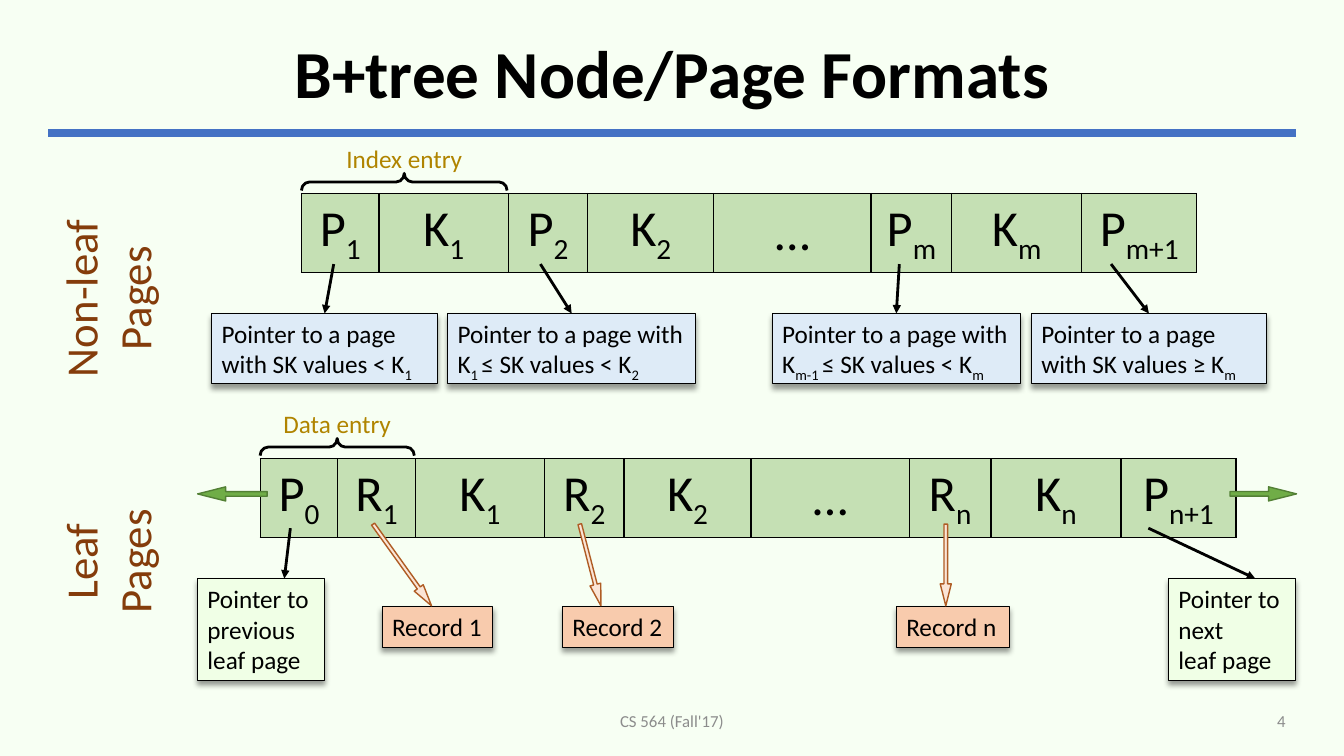
import math
import pptx
import pptx.util
import pptx.dml.color
import pptx.enum.shapes
import pptx.enum.text
import pptx.oxml
import pptx.oxml.ns

Inches = pptx.util.Inches
Pt = pptx.util.Pt
KIND = pptx.enum.shapes.MSO_SHAPE
ALIGN = pptx.enum.text.PP_ALIGN
MID = pptx.enum.text.MSO_ANCHOR.MIDDLE
TOP = pptx.enum.text.MSO_ANCHOR.TOP
FONT = "Calibri"
NS = pptx.oxml.ns.nsdecls("a")


def color(code):
    """Turn a hex string into a colour."""
    return pptx.dml.color.RGBColor.from_string(code)


def fill(part, code):
    """Give a shape, cell or background a solid fill."""
    part.fill.solid()
    part.fill.fore_color.rgb = color(code)


def stroke(part, code, width):
    """Set the line colour and width in points."""
    part.line.color.rgb = color(code)
    part.line.width = Pt(width)


def write(frame, text, size, code="000000", align=ALIGN.LEFT, anchor=TOP, bold=False):
    """Write paragraphs; every second part between underscores is a subscript."""
    frame.word_wrap = True
    frame.vertical_anchor = anchor
    for row, words in enumerate(text.split("\n")):
        para = frame.add_paragraph() if row else frame.paragraphs[0]
        para.alignment = align
        for num, part in enumerate(words.split("_")):
            if part:
                run = para.add_run()
                run.text = part
                run.font.name, run.font.size, run.font.bold = FONT, Pt(size), bold
                run.font.color.rgb = color(code)
                if num % 2:
                    run.font._element.set("baseline", "-25000")


def label(slide, x, y, w, h, text, size, code, align=ALIGN.CENTER, anchor=TOP, turn=0):
    """Add a text box, turned if asked."""
    box = slide.shapes.add_textbox(Inches(x), Inches(y), Inches(w), Inches(h))
    box.rotation = turn
    write(box.text_frame, text, size, code, align, anchor)


def line(slide, x1, y1, x2, y2, code="000000", width=2, head=True):
    """Draw a straight line, with an arrowhead at its end if asked."""
    kind = pptx.enum.shapes.MSO_CONNECTOR.STRAIGHT
    link = slide.shapes.add_connector(kind, Inches(x1), Inches(y1), Inches(x2), Inches(y2))
    stroke(link, code, width)
    if head:
        tip = pptx.oxml.parse_xml(f'<a:tailEnd {NS} type="triangle"/>')
        link.line._get_or_add_ln().append(tip)
    link._element.spPr.append(pptx.oxml.parse_xml(f"<a:effectLst {NS}/>"))


def shape(slide, kind, x, y, w, h, turn=0):
    """Add a preset shape without a shadow."""
    item = slide.shapes.add_shape(kind, Inches(x), Inches(y), Inches(w), Inches(h))
    item.shadow.inherit = False
    item.rotation = turn
    return item


def card(slide, x, y, w, h, text, code):
    """Add a filled note with a soft shadow below it."""
    item = shape(slide, KIND.RECTANGLE, x, y, w, h)
    fill(item, code)
    stroke(item, "000000", 0.75)
    shade = pptx.oxml.parse_xml(
        f'<a:outerShdw {NS} blurRad="{Pt(4)}" dist="{Pt(3)}" dir="5400000" algn="t" '
        'rotWithShape="0"><a:srgbClr val="000000"><a:alpha val="40000"/></a:srgbClr></a:outerShdw>')
    item._element.spPr.find(pptx.oxml.ns.qn("a:effectLst")).append(shade)
    write(item.text_frame, text, 18)


def arrow(slide, x1, y1, x2, y2, code, edge, thick):
    """Draw a block arrow from one point to another."""
    size = math.hypot(x2 - x1, y2 - y1)
    turn = math.degrees(math.atan2(y2 - y1, x2 - x1))
    item = shape(slide, KIND.RIGHT_ARROW, (x1 + x2 - size) / 2, (y1 + y2 - thick) / 2,
                 size, thick, turn)
    item.adjustments[0], item.adjustments[1] = 0.33, 1.98
    fill(item, code)
    stroke(item, edge, 1)


def brace(slide, x, y, w, text):
    """Draw a brace above a span that ends at y, with a caption over it."""
    deep = 0.17
    item = shape(slide, KIND.RIGHT_BRACE, x + (w - deep) / 2, y - (w + deep) / 2, deep, w, 270)
    item.adjustments[0], item.adjustments[1] = 0.47, 0.5
    item.fill.background()
    stroke(item, "000000", 2)
    label(slide, x + w / 2 - 0.7, y - 0.52, 1.4, 0.4, text, 18, "B08400")


def node(slide, x, y, cells):
    """Draw one page as a table row of (text, width) cells."""
    high = Inches(0.77)
    wide = Inches(sum(width for _, width in cells))
    grid = slide.shapes.add_table(1, len(cells), Inches(x), Inches(y), wide, high).table
    grid.first_row = grid.horz_banding = False
    grid.rows[0].height = high
    for col, (text, width) in enumerate(cells):
        grid.columns[col].width = Inches(width)
        cell = grid.cell(0, col)
        fill(cell, "C5E0B4")
        write(cell.text_frame, text, 36, align=ALIGN.CENTER)
        cell.vertical_anchor = MID
        props = cell._tc.get_or_add_tcPr()
        for spot, side in enumerate("LRTB"):
            props.insert(spot, pptx.oxml.parse_xml(
                f'<a:ln{side} {NS} w="{Pt(1)}"><a:solidFill><a:srgbClr val="000000"/>'
                f"</a:solidFill></a:ln{side}>"))


def inner(slide, x, y):
    """Draw the non-leaf page, its label and its pointers."""
    node(slide, x, y, [("P_1", 0.77), ("K_1", 1.28), ("P_2", 0.79), ("K_2", 1.25),
                       ("…", 1.56), ("P_m", 0.8), ("K_m", 1.29), ("P_m+1", 1.14)])
    label(slide, x - 3.11, y + 0.45, 2.37, 1.18, "Non-leaf Pages", 32, "843C0B", turn=270)
    notes = [(-0.89, 2.24, 0.32, "Pointer to a page with SK values < K_1"),
             (1.45, 2.46, 2.37, "Pointer to a page with K_1 _≤ SK values < K_2"),
             (4.67, 2.46, 5.93, "Pointer to a page with K_m-1 _≤ SK values < K_m"),
             (7.24, 2.33, 8.03, "Pointer to a page with SK values ≥ K_m")]
    for left, wide, start, text in notes:
        card(slide, x + left, y + 1.19, wide, 0.7, text, "DEEBF7")
        line(slide, x + start, y + 0.7, x + left + wide / 2, y + 1.19)
    brace(slide, x, y - 0.03, 2.04, "Index entry")


def leaf(slide, x, y):
    """Draw the leaf page, its label, neighbours and records."""
    node(slide, x, y, [("P_0", 0.77), ("R_1", 0.77), ("K_1", 1.28), ("R_2", 0.79), ("K_2", 1.26),
                       ("…", 1.57), ("R_n", 0.81), ("K_n", 1.29), ("P_n+1", 1.14)])
    label(slide, x - 2.7, y + 0.43, 2.37, 1.18, "Leaf\nPages", 32, "843C0B", turn=270)
    for left, start, end, text in [(-0.62, 0.3, 0.24, "Pointer to previous leaf page"),
                                   (9.01, 8.81, 9.87, "Pointer to next\nleaf page")]:
        card(slide, x + left, y + 1.19, 1.26, 1.01, text, "F0FFE6")
        line(slide, x + start, y + 0.69, x + end, y + 1.19)
    for start, end in [(0.07, -0.62), (9.62, 10.28)]:
        arrow(slide, x + start, y + 0.35, x + end, y + 0.35, "70AD47", "538035", 0.14)
    for left, wide, start, end, text in [(1.21, 1.1, 1.12, 1.7, "Record 1"),
                                         (3, 1.1, 3.17, 3.38, "Record 2"),
                                         (6.31, 1.12, 6.8, 6.8, "Record n")]:
        card(slide, x + left, y + 1.47, wide, 0.4, text, "F8CBAD")
        arrow(slide, x + start, y + 0.65, x + end, y + 1.46, "FBE5D6", "AF5C24", 0.11)
    brace(slide, x, y - 0.03, 1.53, "Data entry")


def frame(slide, x, y, w):
    """Place the title, its rule and the footer."""
    fill(slide.background, "F7FFF3")
    line(slide, x, y + 1.08, x + w, y + 1.08, "4472C4", 6, False)
    title = slide.shapes.title
    title.left, title.top, title.width, title.height = map(Inches, (x, y, w, 1.04))
    write(title.text_frame, "B+tree Node/Page Formats", 48, align=ALIGN.CENTER, anchor=MID, bold=True)
    title.text_frame.paragraphs[0].line_spacing = 0.9
    label(slide, x + (w - 4.5) / 2, y + 6.71, 4.5, 0.4, "CS 564 (Fall'17)", 12, "8C8C8C", anchor=MID)
    label(slide, x + w - 3.44, y + 6.71, 3.44, 0.4, "4", 12, "8C8C8C", ALIGN.RIGHT, MID)


deck = pptx.Presentation()
deck.slide_width, deck.slide_height = Inches(13.33), Inches(7.5)
page = deck.slides.add_slide(deck.slide_layouts[5])
frame(page, 0.48, 0.24, 12.37)
inner(page, 2.99, 1.92)
leaf(page, 2.58, 4.55)
deck.save("out.pptx")
